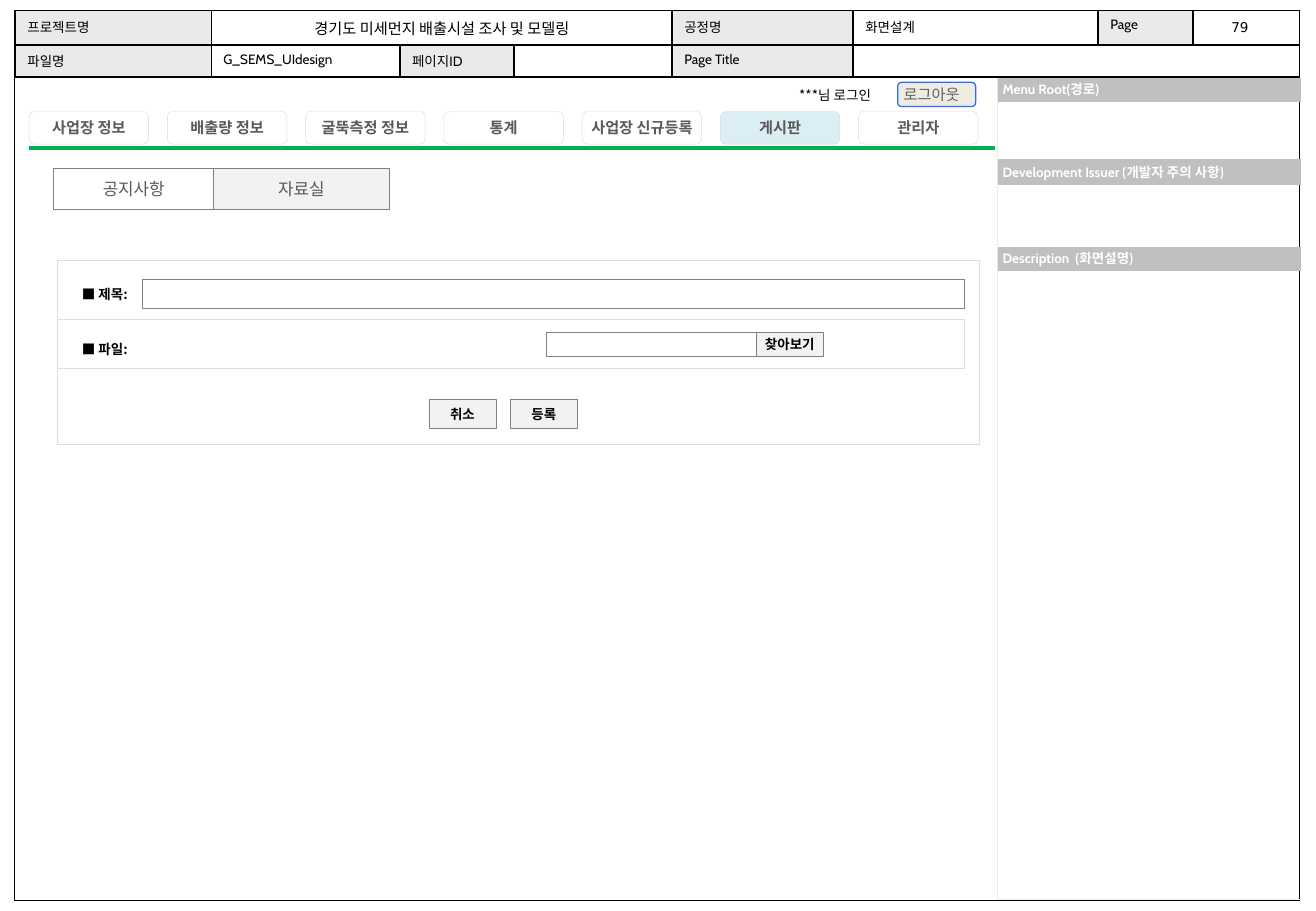
from lxml.etree import SubElement
from pptx import Presentation
from pptx.dml.color import RGBColor
from pptx.enum.shapes import MSO_CONNECTOR, MSO_SHAPE
from pptx.enum.text import MSO_ANCHOR, MSO_AUTO_SIZE, PP_ALIGN
from pptx.oxml import parse_xml
from pptx.oxml.ns import nsdecls, qn
from pptx.util import Pt

BLACK = RGBColor(0x00, 0x00, 0x00)
WHITE = RGBColor(0xFF, 0xFF, 0xFF)
DARK = RGBColor(0x59, 0x59, 0x59)
SLATE = RGBColor(0x5F, 0x5F, 0x5F)
GRAY = RGBColor(0x80, 0x80, 0x80)
SILVER = RGBColor(0xC0, 0xC0, 0xC0)
EDGE = RGBColor(0xD9, 0xD9, 0xD9)
FRAME = RGBColor(0xDD, 0xDD, 0xDD)
LABEL = RGBColor(0xEA, 0xEA, 0xEA)
PALE = RGBColor(0xF2, 0xF2, 0xF2)
CREAM = RGBColor(0xEE, 0xEC, 0xE1)
SKY = RGBColor(0xDB, 0xEE, 0xF4)
BLUE = RGBColor(0x33, 0x66, 0xFF)
GREEN = RGBColor(0x00, 0xB0, 0x50)

CABIN, KARLA, DEJAVU, NOTO = "Cabin", "Karla", "DejaVu Sans", "Noto Sans CJK KR"
NO_STYLE = "{2D5ABB26-0587-4C30-8999-92F81FD0307C}"


def write(frame, text, size, font, color, bold=False, align=PP_ALIGN.LEFT):
    para = frame.paragraphs[0]
    para.text = text
    para.alignment = align
    style = para.font
    style.size, style.name, style.bold = Pt(size), font, bold
    style.color.rgb = color
    return para


def inset(part, side, top):
    part.margin_left = part.margin_right = Pt(side)
    part.margin_top = part.margin_bottom = Pt(top)


def box(slide, area, fill, edge, width, kind=MSO_SHAPE.RECTANGLE):
    shape = slide.shapes.add_shape(kind, *map(Pt, area))
    shape.shadow.inherit = False
    if fill is None:
        shape.fill.background()
    else:
        shape.fill.solid()
        shape.fill.fore_color.rgb = fill
    shape.line.color.rgb = edge
    shape.line.width = Pt(width)
    frame = shape.text_frame
    frame.vertical_anchor = MSO_ANCHOR.MIDDLE
    inset(frame, 2.9, 2.9)
    return frame


def label(slide, area, text, font, bold=False, pad=(2.9, 2.9), space=1.5):
    frame = slide.shapes.add_textbox(*map(Pt, area)).text_frame
    frame.word_wrap = False
    frame.auto_size = MSO_AUTO_SIZE.SHAPE_TO_FIT_TEXT
    inset(frame, *pad)
    write(frame, text, 8, font, BLACK, bold).line_spacing = space


def button(slide, area, text, width=0.5):
    frame = box(slide, area, PALE, GRAY, width)
    frame.word_wrap = False
    write(frame, text, 8, NOTO, BLACK, True, PP_ALIGN.CENTER)


def grid(slide, x, y, cols, rows):
    area = map(Pt, (x, y, sum(cols), sum(rows)))
    table = slide.shapes.add_table(len(rows), len(cols), *area).table
    table.first_row = table.horz_banding = False
    table._tbl.tblPr.find(qn("a:tableStyleId")).text = NO_STYLE
    for col, width in zip(table.columns, cols):
        col.width = Pt(width)
    for row, height in zip(table.rows, rows):
        row.height = Pt(height)
    return table


def paint(cell, fill):
    if fill is None:
        cell.fill.background()
    else:
        cell.fill.solid()
        cell.fill.fore_color.rgb = fill


def border(cell, sides, color, width):
    props = cell._tc.get_or_add_tcPr()
    for spot, side in enumerate(sides):
        props.insert(spot, parse_xml(
            f'<a:ln{side} {nsdecls("a")} w="{Pt(width)}"><a:solidFill>'
            f'<a:srgbClr val="{color}"/></a:solidFill></a:ln{side}>'))


# Project details across the top
def header(slide, x, y):
    cols = (116.2, 111.8, 67.8, 93.6, 107.3, 145.2, 56.3, 63.2)
    rows = (
        ("프로젝트명", "경기도 미세먼지 배출시설 조사 및 모델링", "", "", "공정명", "화면설계", "Page", ""),
        ("파일명", "G_SEMS_UIdesign", "페이지ID", "", "Page Title", "", "", ""),
    )
    shaded = ((0, 4, 6), (0, 2, 4))
    table = grid(slide, x, y, cols, (20.4, 19))
    table.cell(0, 1).merge(table.cell(0, 3))
    table.cell(1, 5).merge(table.cell(1, 7))
    for r, row in enumerate(rows):
        for c, text in enumerate(row):
            cell = table.cell(r, c)
            paint(cell, LABEL if c in shaded[r] else None)
            border(cell, "LRTB", BLACK, 1)
            wide = (r, c) == (0, 1)
            para = write(cell.text_frame, text, 9 if wide else 8, CABIN, BLACK,
                         align=PP_ALIGN.CENTER if wide else PP_ALIGN.LEFT)
            para.space_before = Pt(1.6)
    label(slide, (x + 718, y - 2.8, 19.4, 18), "79", DEJAVU)


# Notes panel on the right
def panel(slide, x, y):
    rows = (
        ("Menu Root(경로)", 14.2, 0.75), ("", 33.8, 1),
        ("Development Issuer (개발자 주의 사항)", 15.4, 0.8), ("", 36.2, 1),
        ("Description  (화면설명)", 14.2, 0.75), ("", 372.6, 1),
    )
    table = grid(slide, x, y, (179.7,), [height for _, height, _ in rows])
    for r, (text, _, space) in enumerate(rows):
        cell = table.cell(r, 0)
        paint(cell, SILVER if text else None)
        border(cell, "LB" if r == len(rows) - 1 else "L", CREAM, 0.25)
        cell.vertical_anchor = MSO_ANCHOR.MIDDLE
        inset(cell, 2.9, 2.9)
        para = write(cell.text_frame, text, 8, CABIN, WHITE, True)
        para.line_spacing, para.space_before = space, Pt(1.6)


# Login line and main menu
def menu(slide, x, y):
    label(slide, (x + 449.3, y, 59.8, 17.3), "***님 로그인", NOTO, pad=(7.2, 3.6), space=1)
    frame = box(slide, (x + 514.8, y + 0.6, 46.2, 14.4), CREAM, BLUE, 0.75,
                MSO_SHAPE.ROUNDED_RECTANGLE)
    write(frame, "로그아웃", 9, KARLA, SLATE)
    rule = slide.shapes.add_connector(
        MSO_CONNECTOR.STRAIGHT, Pt(x), Pt(y + 39.6), Pt(x + 572.5), Pt(y + 39.6))
    rule.line.color.rgb = GREEN
    rule.line.width = Pt(2.5)
    SubElement(rule._element.spPr, qn("a:effectLst"))
    names = ("사업장 정보", "배출량 정보", "굴뚝측정 정보", "통계", "사업장 신규등록", "게시판", "관리자")
    for i, name in enumerate(names):
        frame = box(slide, (x + 81.95 * i, y + 17.9, 70.8, 19.4),
                    SKY if name == "게시판" else None, EDGE, 0.25,
                    MSO_SHAPE.ROUNDED_RECTANGLE)
        frame.word_wrap = False
        write(frame, name, 9, CABIN, DARK, True, PP_ALIGN.CENTER)


# Board tabs
def tabs(slide, x, y):
    for name, left, width, fill in (("공지사항", 0, 95.1, None), ("자료실", 95.1, 103.8, PALE)):
        frame = box(slide, (x + left, y, width, 24.1), fill, GRAY, 0.5)
        write(frame, name, 10, NOTO, DARK, align=PP_ALIGN.CENTER)


# Post form: title, file and buttons
def form(slide, x, y):
    box(slide, (x, y, 546.5, 109.5), None, FRAME, 0.25)
    box(slide, (x, y + 35.5, 538, 29), None, FRAME, 0.25)
    label(slide, (x + 11.9, y + 7.9, 36, 20.2), "■ 제목:", NOTO, True)
    label(slide, (x + 11.9, y + 40.5, 36, 20.2), "■ 파일:", NOTO, True)
    box(slide, (x + 50.7, y + 11.6, 487.3, 17.3), WHITE, GRAY, 0.5)
    box(slide, (x + 290.2, y + 42.8, 124.4, 14.4), WHITE, GRAY, 0.5)
    button(slide, (x + 414.6, y + 42.8, 39.8, 14.4), "찾아보기", 0.25)
    for i, name in enumerate(("취소", "등록")):
        button(slide, (x + 220.6 + 48.2 * i, y + 82.8, 39.8, 17.2), name)


def main():
    deck = Presentation()
    deck.slide_width, deck.slide_height = Pt(780), Pt(540)
    slide = deck.slides.add_slide(deck.slide_layouts[6])
    box(slide, (8.6, 45.4, 761.8, 488.2), None, BLACK, 0.75)
    panel(slide, 591.3, 46.2)
    header(slide, 9, 6.3)
    menu(slide, 17.3, 48.2)
    tabs(slide, 31.7, 99.9)
    form(slide, 33.7, 154)
    deck.save("out.pptx")


if __name__ == "__main__":
    main()
